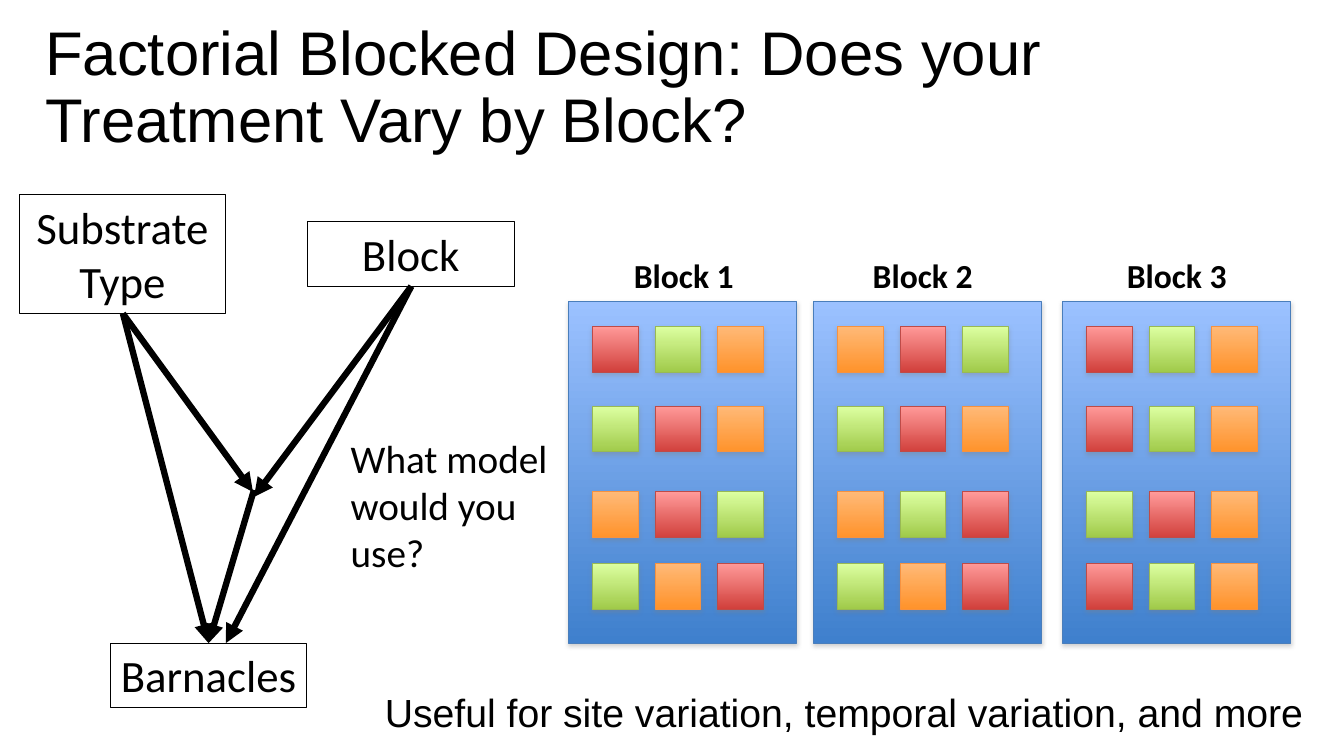
"""Build the factorial blocked design slide: path diagram and three blocks of treatments."""
from dataclasses import dataclass

from lxml.etree import SubElement
from pptx import Presentation
from pptx.dml.color import RGBColor as RGB
from pptx.enum.shapes import MSO_CONNECTOR as CONN, MSO_SHAPE as SHAPE
from pptx.enum.text import MSO_ANCHOR as ANCHOR, MSO_AUTO_SIZE as AUTO, PP_ALIGN as ALIGN
from pptx.oxml.ns import qn
from pptx.util import Pt

TITLE = "Factorial Blocked Design: Does your Treatment Vary by Block?"
FACTORS = [
    ("Barnacles", (79.2, 459.4, 139.7, 46.1), False),
    ("Substrate\nType", (13.7, 139, 147.6, 85), True),
    ("Block", (219.6, 158.4, 147.6, 46.1), True),
]
NOTES = [
    ("What model would you use?", (243.4, 306.7, 164.9, 108.7), "Calibri", True),
    ("Useful for site variation, temporal variation, and more",
     (267.8, 488.2, 691.9, 41), "Arial", False),
]
SUBSTRATE, BLOCK, BARNACLES = (87.8, 224), (293.8, 204.5), (149, 459.4)
ARROWS = [
    (SUBSTRATE, BARNACLES),
    (BLOCK, (161.3, 459.4)),
    (BLOCK, (181.4, 355)),
    (SUBSTRATE, (180.7, 351.4)),
    ((181.4, 350), BARNACLES),
]
BLOCKS = [
    ("Block 1", 406.1, 445.7, ("RGO", "GRO", "ORG", "GOR")),
    ("Block 2", 581, 616.3, ("ORG", "GRO", "OGR", "GOR")),
    ("Block 3", 758.9, 797.8, ("RGO", "RGO", "GRO", "RGO")),
]
PANEL_TOP, PANEL_W, PANEL_H = 215.3, 162.9, 244.1
TILE, TILE_INSET, TILE_PITCH = 32.6, 17.3, 44.7
ROW_TOPS = (233.3, 290.3, 351.4, 402.5)
LABEL_TOP, LABEL_W, LABEL_H = 178.6, 86.4, 36.7


@dataclass(frozen=True)
class Theme:
    """Colours, type sizes and line widths."""
    ink: str = "000000"
    shadow: str = "808080"
    panel: tuple = ("9BC1FF", "3F80CD", "4A7EBB")
    red: tuple = ("FF9A99", "D1403C", "BE4B48")
    green: tuple = ("DCFFA0", "A0CA4A", "98B954")
    orange: tuple = ("FFB977", "FF932B", "F69240")
    title: int = 44
    factor: int = 32
    note: int = 28
    label: int = 24
    thin: float = 0.75
    thick: float = 4.5


T = Theme()
TREATMENTS = {"R": T.red, "G": T.green, "O": T.orange}


def style(tf, size, font, align=ALIGN.LEFT, bold=False):
    """Format every run of a text frame."""
    for p in tf.paragraphs:
        p.alignment = align
        for r in p.runs:
            r.font.size, r.font.name, r.font.bold = Pt(size), font, bold
            r.font.color.rgb = RGB.from_string(T.ink)


def add_text(shapes, text, box, size, font="Calibri", wrap=True, **look):
    """Add a text box that grows with its text."""
    s = shapes.add_textbox(*map(Pt, box))
    tf = s.text_frame
    tf.text = text
    tf.word_wrap = wrap
    tf.auto_size = AUTO.SHAPE_TO_FIT_TEXT
    style(tf, size, font, **look)
    return s


def set_line(s, colour, width):
    """Give a shape or connector a solid line."""
    s.line.color.rgb = RGB.from_string(colour)
    s.line.width = Pt(width)


def add_tile(shapes, box, colours):
    """Add a rectangle with a vertical gradient and a soft shadow."""
    s = shapes.add_shape(SHAPE.RECTANGLE, *map(Pt, box))
    s.shadow.inherit = False
    s.fill.gradient()
    s.fill.gradient_angle = 270
    for stop, colour in zip(s.fill.gradient_stops, colours):
        stop.color.rgb = RGB.from_string(colour)
    set_line(s, colours[2], T.thin)
    effects = s._element.spPr.find(qn("a:effectLst"))
    shadow = SubElement(effects, qn("a:outerShdw"), blurRad=str(Pt(3.15)),
                        dist=str(Pt(1.8)), dir="5400000", rotWithShape="0")
    colour = SubElement(shadow, qn("a:srgbClr"), val=T.shadow)
    SubElement(colour, qn("a:alpha"), val="35000")


def add_block(slide, name, left, label_left, rows):
    """Add one labelled block with its grid of treatments."""
    shapes = slide.shapes.add_group_shape().shapes
    add_tile(shapes, (left, PANEL_TOP, PANEL_W, PANEL_H), T.panel)
    for top, row in zip(ROW_TOPS, rows):
        for col, treatment in enumerate(row):
            x = left + TILE_INSET + col * TILE_PITCH
            add_tile(shapes, (x, top, TILE, TILE), TREATMENTS[treatment])
    add_text(shapes, name, (label_left, LABEL_TOP, LABEL_W, LABEL_H), T.label,
             wrap=False, bold=True)


def add_arrow(slide, start, end):
    """Add a thick arrow between two points."""
    s = slide.shapes.add_connector(CONN.STRAIGHT, *map(Pt, start + end))
    set_line(s, T.ink, T.thick)
    SubElement(s.line._get_or_add_ln(), qn("a:tailEnd"), type="triangle")
    SubElement(s._element.spPr, qn("a:effectLst"))


def add_title(slide):
    """Place and format the title placeholder."""
    s = slide.shapes.title
    s.left, s.top, s.width, s.height = map(Pt, (25.2, 11.5, 828, 104.4))
    tf = s.text_frame
    tf.text = TITLE
    tf.word_wrap = True
    tf.auto_size = AUTO.NONE
    tf.vertical_anchor = ANCHOR.MIDDLE
    tf.paragraphs[0].line_spacing = 0.9
    style(tf, T.title, "Arial")


def main():
    """Build and save the slide."""
    prs = Presentation()
    prs.slide_width, prs.slide_height = Pt(960), Pt(540)
    slide = prs.slides.add_slide(prs.slide_layouts[5])
    add_title(slide)
    for block in BLOCKS:
        add_block(slide, *block)
    for text, box, wrap in FACTORS:
        s = add_text(slide.shapes, text, box, T.factor, wrap=wrap, align=ALIGN.CENTER)
        set_line(s, T.ink, T.thin)
    for start, end in ARROWS:
        add_arrow(slide, start, end)
    for text, box, font, wrap in NOTES:
        add_text(slide.shapes, text, box, T.note, font, wrap)
    prs.save("out.pptx")


if __name__ == "__main__":
    main()
